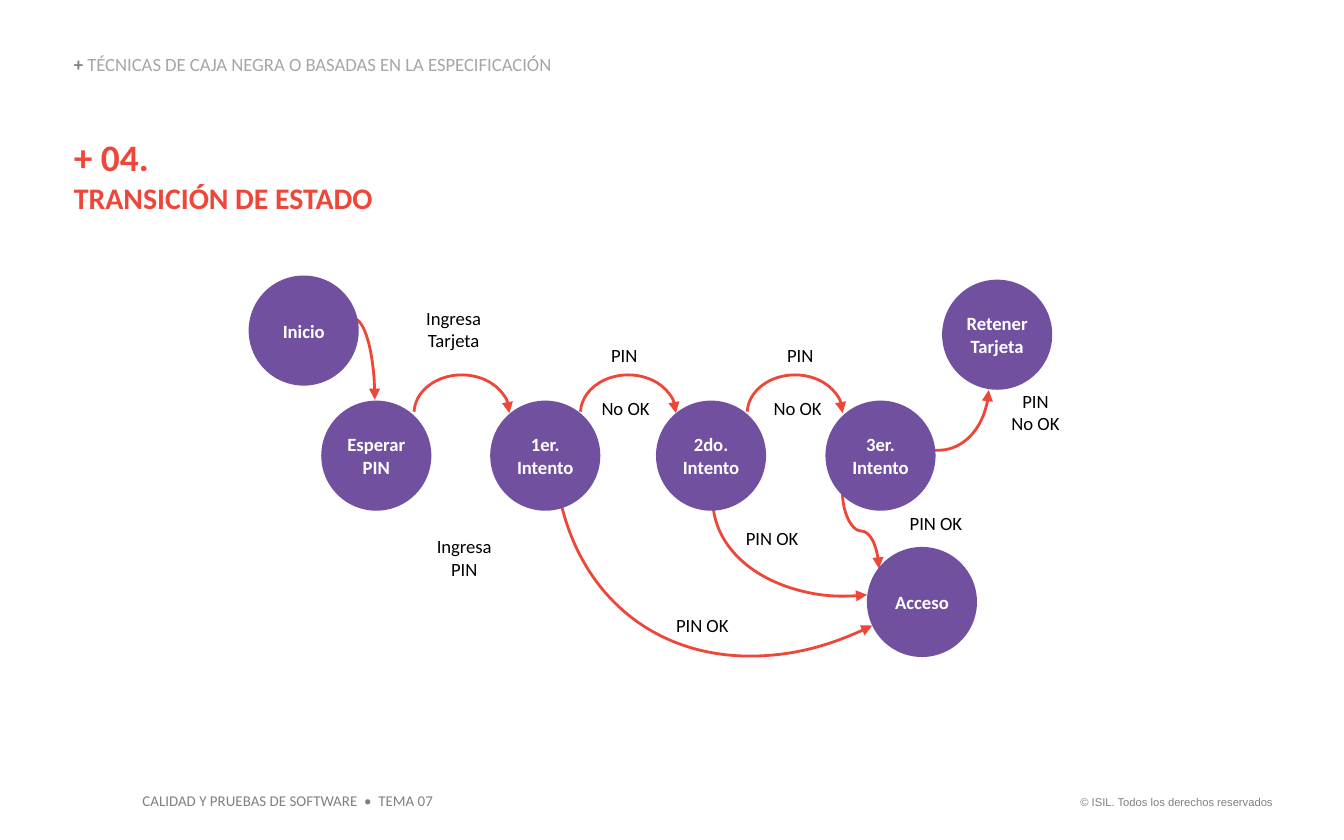
from lxml import etree
from pptx import Presentation
from pptx.dml.color import RGBColor
from pptx.enum.shapes import MSO_CONNECTOR, MSO_SHAPE
from pptx.enum.text import MSO_ANCHOR, MSO_AUTO_SIZE, PP_ALIGN
from pptx.oxml.ns import qn
from pptx.util import Pt

RED = RGBColor(0xEE, 0x46, 0x39)
PURPLE = RGBColor(0x71, 0x50, 0xA0)
WHITE = RGBColor(0xFF, 0xFF, 0xFF)
BLACK = RGBColor(0x00, 0x00, 0x00)
GRAY = RGBColor(0x80, 0x80, 0x80)
LIGHT_GRAY = RGBColor(0xA6, 0xA6, 0xA6)

ARC, OVAL = MSO_SHAPE.ARC, MSO_SHAPE.OVAL
CURVE = MSO_CONNECTOR.CURVE
LEFT, CENTER, RIGHT = PP_ALIGN.LEFT, PP_ALIGN.CENTER, PP_ALIGN.RIGHT
TOP, MIDDLE, BOTTOM = MSO_ANCHOR.TOP, MSO_ANCHOR.MIDDLE, MSO_ANCHOR.BOTTOM
NO_AUTOFIT = MSO_AUTO_SIZE.NONE

HEAD, TAIL = "a:headEnd", "a:tailEnd"
MARGIN = 39.6
STATE_SIZE = 59
STATE_ROW = 214.6
LABEL_WIDTH = 64


class StateDiagram:
    font_name = "Calibri"
    line_width = 1.5

    def __init__(self, slide):
        self.slide = slide

    def style_font(self, font, size, color, bold=False, name=font_name):
        font.name = name
        font.size = Pt(size)
        font.bold = bold
        font.color.rgb = color

    def style_frame(self, frame, anchor=TOP, wrap=True):
        frame.word_wrap = wrap
        frame.auto_size = NO_AUTOFIT
        frame.vertical_anchor = anchor
        frame.margin_left = frame.margin_right = 0
        frame.margin_top = frame.margin_bottom = 0

    def fill_text(self, frame, text, size, color, align, **font):
        frame.text = text
        for paragraph in frame.paragraphs:
            paragraph.alignment = align
            self.style_font(paragraph.font, size, color, **font)

    def text_box(self, left, top, width, height, anchor=TOP, wrap=True):
        box = self.slide.shapes.add_textbox(Pt(left), Pt(top), Pt(width), Pt(height))
        self.style_frame(box.text_frame, anchor, wrap)
        return box.text_frame

    def title(self, number, name):
        title = self.slide.shapes.title
        title.left, title.top = Pt(MARGIN), Pt(72)
        title.width, title.height = Pt(635), Pt(44)
        self.style_frame(title.text_frame)
        paragraph = title.text_frame.paragraphs[0]
        paragraph.alignment = LEFT
        paragraph.space_after = Pt(6)
        run = paragraph.add_run()
        run.text = number
        self.style_font(run.font, 20, RED, bold=True)
        paragraph.add_line_break()
        run = paragraph.add_run()
        run.text = name
        self.style_font(run.font, 16, RED, bold=True)

    def section(self, mark, name):
        frame = self.text_box(MARGIN, 29.5, 260, 10.8, BOTTOM)
        paragraph = frame.paragraphs[0]
        paragraph.line_spacing = 0.9
        for text, color, bold in ((mark, GRAY, True), (name, LIGHT_GRAY, False)):
            run = paragraph.add_run()
            run.text = text
            self.style_font(run.font, 10, color, bold)

    def label(self, text, left, top):
        height = 13 * len(text.split("\n"))
        frame = self.text_box(left, top, LABEL_WIDTH, height)
        self.fill_text(frame, text, 10, BLACK, CENTER)

    def state(self, text, left, top=STATE_ROW):
        circle = self.slide.shapes.add_shape(
            OVAL, Pt(left), Pt(top), Pt(STATE_SIZE), Pt(STATE_SIZE))
        circle.shadow.inherit = False
        circle.fill.solid()
        circle.fill.fore_color.rgb = PURPLE
        circle.line.fill.background()
        self.style_frame(circle.text_frame, MIDDLE)
        self.fill_text(circle.text_frame, text, 10, WHITE, CENTER, bold=True)

    def arrow_line(self, shape, end):
        shape.line.color.rgb = RED
        shape.line.width = Pt(self.line_width)
        outline = shape._element.spPr.find(qn("a:ln"))
        etree.SubElement(outline, qn(end)).set("type", "triangle")

    def arc(self, left, top, width, height, start=270, stop=0, rotation=0, end=TAIL):
        """Draw an arrow along an ellipse, with start and stop in degrees."""
        arc = self.slide.shapes.add_shape(
            ARC, Pt(left), Pt(top), Pt(width), Pt(height))
        arc.shadow.inherit = False
        arc.fill.background()
        # Angles are stored in 1/60000 degree, adjustments in 1/100000.
        arc.adjustments[0] = start * 0.6
        arc.adjustments[1] = stop * 0.6
        arc.rotation = rotation
        self.arrow_line(arc, end)

    def s_curve(self, start_x, start_y, end_x, end_y):
        """Draw a curved arrow that leaves and arrives vertically."""
        middle_x, middle_y = (start_x + end_x) / 2, (start_y + end_y) / 2
        half_width, half_height = (end_y - start_y) / 2, (end_x - start_x) / 2
        connector = self.slide.shapes.add_connector(
            CURVE,
            Pt(middle_x + half_width), Pt(middle_y - half_height),
            Pt(middle_x - half_width), Pt(middle_y + half_height))
        properties = connector._element.spPr
        properties.find(qn("a:xfrm")).set("rot", str(270 * 60000))
        self.arrow_line(connector, TAIL)
        etree.SubElement(properties, qn("a:effectLst"))


def main():
    presentation = Presentation()
    presentation.slide_width, presentation.slide_height = Pt(720), Pt(450)
    slide = presentation.slides.add_slide(presentation.slide_layouts[5])
    diagram = StateDiagram(slide)

    diagram.section("+ ", "TÉCNICAS DE CAJA NEGRA O BASADAS EN LA ESPECIFICACIÓN")
    diagram.title("+ 04.", "TRANSICIÓN DE ESTADO")

    # Transitions
    diagram.arc(270, 67, 340.6, 254.9, 313.45, 30, 125.7, HEAD)
    diagram.arc(381.6, 208.1, 153.4, 110.9, rotation=173.6, end=HEAD)
    diagram.arc(461.5, 173.5, 77, 59, 290.67, 7.92, 80.8, HEAD)
    diagram.arc(177.8, 170.6, 23, 87.1)
    for left in (221.8, 311, 400.3):
        diagram.arc(left, 200.9, 51.1, 41, start=181.8)
    diagram.s_curve(451.4, 264.4, 470.9, 304.6)

    # States
    diagram.state("Inicio", 133.2, 147.6)
    diagram.state("Retener\nTarjeta", 504.7, 149.8)
    diagram.state("Esperar\nPIN", 172.1)
    diagram.state("1er.\nIntento", 262.6)
    diagram.state("2do.\nIntento", 351.4)
    diagram.state("3er.\nIntento", 442.2)
    diagram.state("Acceso", 464.4, 293)

    for text, left, top in (
        ("Ingresa\nTarjeta", 211, 164.2),
        ("PIN", 302.4, 184.3),
        ("No OK", 303.1, 212.4),
        ("PIN", 396.7, 184.3),
        ("No OK", 395.3, 212.4),
        ("PIN\nNo OK", 522.7, 208.8),
        ("PIN OK", 381.6, 282.2),
        ("PIN OK", 469.4, 274.3),
        ("PIN OK", 344.2, 329),
        ("Ingresa\nPIN", 216.7, 286.6),
    ):
        diagram.label(text, left, top)

    # Footer
    frame = diagram.text_box(76.3, 424, 156.2, 10, wrap=False)
    diagram.fill_text(frame, "CALIDAD Y PRUEBAS DE SOFTWARE  •  TEMA 07", 8, GRAY, LEFT)
    frame = diagram.text_box(574.6, 426.2, 107.2, 7.2, wrap=False)
    diagram.fill_text(frame, "© ISIL. Todos los derechos reservados", 6, GRAY, RIGHT,
                      name="Arial")

    presentation.save("out.pptx")


if __name__ == "__main__":
    main()
